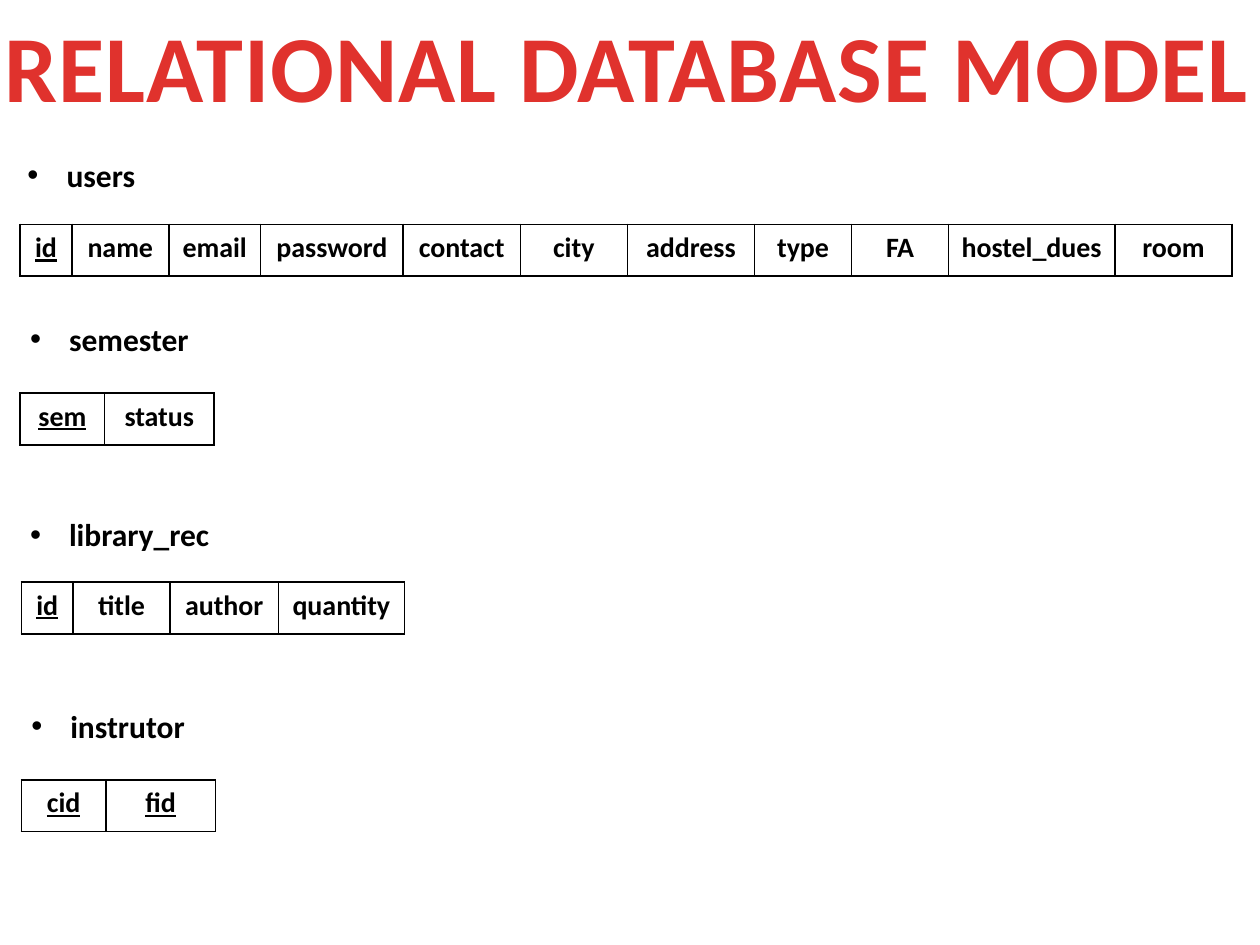
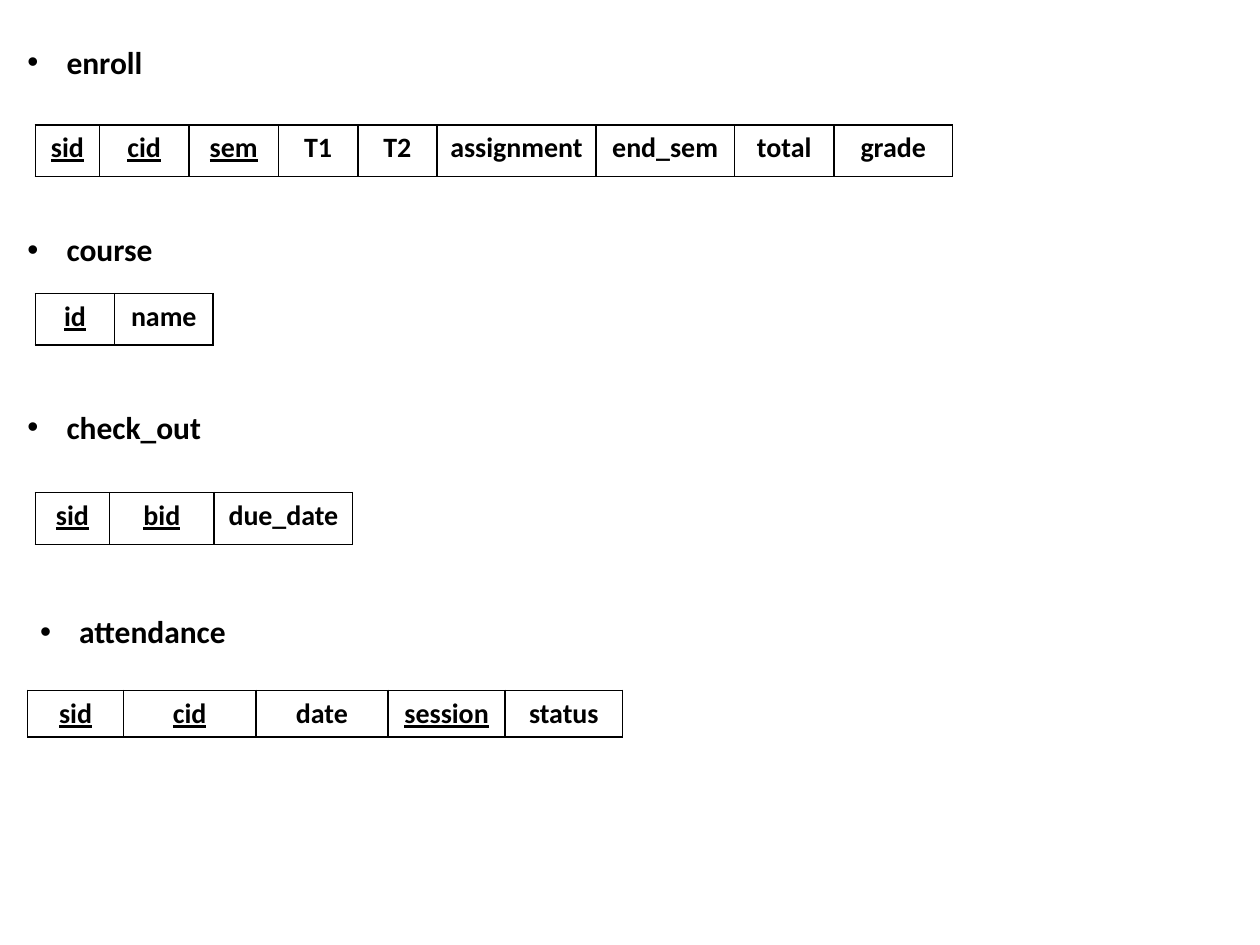
from lxml import etree
from pptx import Presentation
from pptx.dml.color import RGBColor
from pptx.enum.text import MSO_AUTO_SIZE, PP_ALIGN
from pptx.oxml.ns import qn
from pptx.util import Inches, Pt

CENTER = PP_ALIGN.CENTER
GROW = MSO_AUTO_SIZE.SHAPE_TO_FIT_TEXT
TITLE_ONLY, BLANK = 5, 6
COLORS = {"ink": "000000", "paper": "FFFFFF", "title": "E0322D", "title_end": "A2201C"}
FONT = "Calibri"
KEY_MARK = "*"  # marks a key column, shown underlined
ROW_HEIGHT = 0.41

# relation name, (left, top, width) of its heading, (left, top) of its columns, columns
MODEL = [
    ("users", (0.12, 1.19, 1.34), (0.16, 1.78),
     {"*id": 0.41, "name": 0.77, "email": 0.73, "password": 1.13, "contact": 0.93,
      "city": 0.85, "address": 1.01, "type": 0.77, "FA": 0.77, "hostel_dues": 1.32,
      "room": 0.93}),
    ("semester", (0.14, 2.49, 1.55), (0.16, 3.12), {"*sem": 0.67, "status": 0.87}),
    ("library_rec", (0.14, 4.04, 2.2), (0.17, 4.62),
     {"*id": 0.41, "title": 0.77, "author": 0.86, "quantity": 1}),
    ("instrutor", (0.15, 5.56, 2.2), (0.17, 6.19), {"*cid": 0.67, "*fid": 0.87}),
]
MODEL_CONTINUED = [
    ("enroll", (0.12, 0.29, 1.34), (0.28, 0.99),
     {"*sid": 0.51, "*cid": 0.71, "*sem": 0.71, "T1": 0.63, "T2": 0.63,
      "assignment": 1.26, "end_sem": 1.1, "total": 0.79, "grade": 0.94}),
    ("course", (0.12, 1.78, 1.34), (0.28, 2.33), {"*id": 0.63, "name": 0.78}),
    ("check_out", (0.12, 3.19, 1.64), (0.28, 3.91),
     {"*sid": 0.59, "*bid": 0.83, "due_date": 1.1}),
    ("attendance", (0.22, 4.81, 1.81), (0.22, 5.48),
     {"*sid": 0.76, "*cid": 1.05, "date": 1.05, "*session": 0.93, "status": 0.93}, 0.37),
]


def rgb(name):
    return RGBColor.from_string(COLORS[name])


def write(frame, text, size=16, underline=False, align=None):
    """Fill a text frame with one bold run and return the run."""
    paragraph = frame.paragraphs[0]
    paragraph.alignment = align
    run = paragraph.add_run()
    run.text = text
    font = run.font
    font.name, font.size, font.bold, font.underline = FONT, Pt(size), True, underline
    font.color.rgb = rgb("ink")
    return run


def add_bullet(paragraph, indent=0.31):
    properties = paragraph._p.get_or_add_pPr()
    properties.set("marL", str(Inches(indent)))
    properties.set("indent", str(-Inches(indent)))
    etree.SubElement(properties, qn("a:buFont")).set("typeface", "Arial")
    etree.SubElement(properties, qn("a:buChar")).set("char", "•")


def add_borders(cell, width=1):
    properties = cell._tc.get_or_add_tcPr()
    for position, side in enumerate(("lnL", "lnR", "lnT", "lnB")):
        line = etree.Element(qn(f"a:{side}"), w=str(Pt(width)))
        fill = etree.SubElement(line, qn("a:solidFill"))
        etree.SubElement(fill, qn("a:srgbClr")).set("val", COLORS["ink"])
        properties.insert(position, line)


class ModelDeck:
    def __init__(self):
        self.deck = Presentation()
        self.deck.slide_width, self.deck.slide_height = Inches(10), Inches(7.5)
        self.slide = None

    def new_slide(self, layout):
        self.slide = self.deck.slides.add_slide(self.deck.slide_layouts[layout])
        background = self.slide.background.fill
        background.solid()
        background.fore_color.rgb = rgb("paper")

    def title(self, text):
        title = self.slide.shapes.title
        title.left, title.top = Inches(-0.12), Inches(0.01)
        title.width, title.height = Inches(10.19), Inches(1.01)
        frame = title.text_frame
        frame.word_wrap, frame.auto_size = False, GROW
        run = write(frame, text, size=54, align=CENTER)
        run._r.get_or_add_rPr().set("spc", "50")
        fill = run.font.fill
        fill.gradient()
        fill.gradient_angle = 270
        stops = zip(fill.gradient_stops, (0.25, 1), ("title", "title_end"))
        for stop, position, color in stops:
            stop.position = position
            stop.color.rgb = rgb(color)

    def heading(self, text, left, top, width):
        box = self.slide.shapes.add_textbox(
            Inches(left), Inches(top), Inches(width), Inches(0.4))
        frame = box.text_frame
        frame.word_wrap, frame.auto_size = True, GROW
        write(frame, text, size=18)
        add_bullet(frame.paragraphs[0])

    def columns(self, widths, left, top, height):
        table = self.slide.shapes.add_table(
            1, len(widths), Inches(left), Inches(top),
            Inches(sum(widths.values())), Inches(height)).table
        table.first_row = table.horz_banding = False
        for index, (label, width) in enumerate(widths.items()):
            table.columns[index].width = Inches(width)
            cell = table.cell(0, index)
            write(cell.text_frame, label.removeprefix(KEY_MARK),
                  underline=label.startswith(KEY_MARK), align=CENTER)
            cell.fill.solid()
            cell.fill.fore_color.rgb = rgb("paper")
            add_borders(cell)

    def relation(self, name, heading_place, columns_place, widths, height=ROW_HEIGHT):
        self.columns(widths, *columns_place, height)
        self.heading(name, *heading_place)


def main():
    model = ModelDeck()
    model.new_slide(TITLE_ONLY)
    model.title("RELATIONAL DATABASE MODEL")
    for relation in MODEL:
        model.relation(*relation)
    model.new_slide(BLANK)
    for relation in MODEL_CONTINUED:
        model.relation(*relation)
    model.deck.save("out.pptx")


if __name__ == "__main__":
    main()
